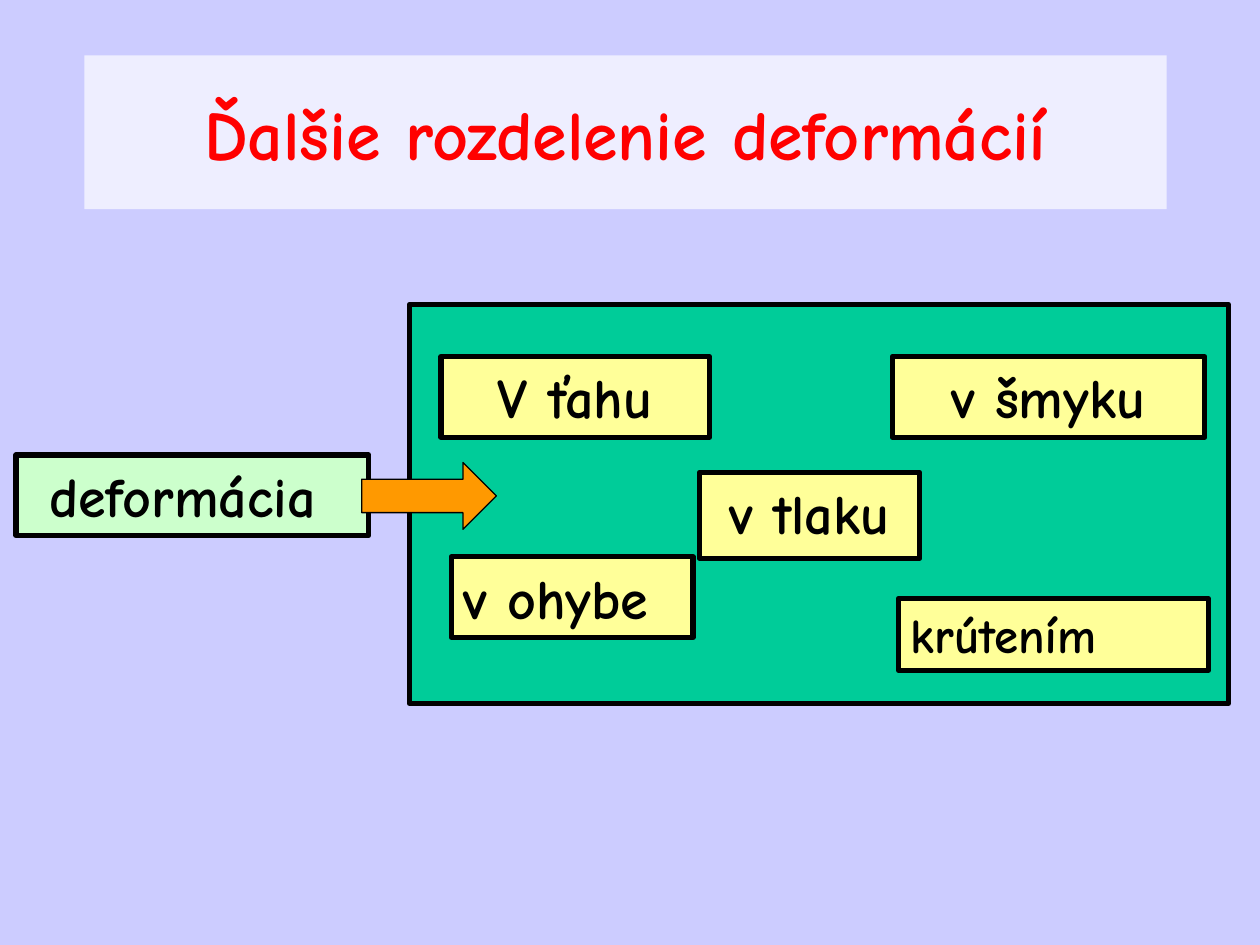
"""Builds a slide that sorts deformations into five kinds."""
from dataclasses import dataclass

from lxml import etree
from pptx import Presentation
from pptx import util as u
from pptx.dml import color
from pptx.enum import shapes, text
from pptx.oxml import ns


@dataclass(frozen=True)
class Theme:
    """Colours, font and type sizes of the slide."""
    backdrop: str = "CCCCFF"
    panel: str = "00CC99"
    banner: str = "FFFFFF"
    source: str = "CCFFCC"
    kind: str = "FFFF99"
    arrow: str = "FF9900"
    title: str = "FF0000"
    ink: str = "000000"
    font: str = "Comic Neue"
    title_size: int = 40
    label_size: int = 32
    small_size: int = 28
    frame: float = 3
    thin: float = 0.75


THEME = Theme()
CENTER = text.PP_ALIGN.CENTER
LEFT = text.PP_ALIGN.LEFT
KINDS = [
    ("V ťahu", (252, 203.8, 153.4, 46), THEME.label_size, CENTER),
    ("v tlaku", (399.6, 270, 126, 49), THEME.label_size, CENTER),
    ("v ohybe", (257.8, 318.2, 138.2, 46), THEME.label_size, LEFT),
    ("v šmyku", (509.8, 203.8, 178.6, 46), THEME.label_size, CENTER),
    ("krútením", (513.4, 342, 177.1, 41), THEME.small_size, LEFT),
]


def apply(target, values):
    """Set each named attribute on the target."""
    for name, value in values.items():
        setattr(target, name, value)


def rgb(value):
    """Turn a hex string into a colour."""
    return color.RGBColor.from_string(value)


def add_block(page, bounds, fill, line=THEME.frame, preset=shapes.MSO_SHAPE.RECTANGLE):
    """Add a filled shape, outlined when a line width is given."""
    block = page.shapes.add_shape(preset, *map(u.Pt, bounds))
    block.shadow.inherit = False
    block.fill.solid()
    block.fill.fore_color.rgb = rgb(fill)
    if line:
        block.line.color.rgb = rgb(THEME.ink)
        block.line.width = u.Pt(line)
    else:
        block.line.fill.background()
    return block


def write(block, words, size, ink=THEME.ink, align=CENTER, **frame_values):
    """Write one bold line into a block."""
    frame = block.text_frame
    apply(frame, {"word_wrap": True, **frame_values})
    para = frame.paragraphs[0]
    para.alignment = align
    span = para.add_run()
    span.text = words
    apply(span.font, {"name": THEME.font, "size": u.Pt(size), "bold": True})
    span.font.color.rgb = rgb(ink)


def add_label(page, words, bounds, fill, size, align=CENTER, wrap=True):
    """Add a framed label that grows with its text."""
    write(add_block(page, bounds, fill), words, size, align=align, word_wrap=wrap,
          vertical_anchor=text.MSO_ANCHOR.TOP,
          auto_size=text.MSO_AUTO_SIZE.SHAPE_TO_FIT_TEXT)


def add_banner(page, words):
    """Add the translucent title banner."""
    banner = add_block(page, (48.2, 31.7, 618.5, 87.8), THEME.banner, line=0)
    tint = next(banner.element.spPr.iter(ns.qn("a:srgbClr")))
    etree.SubElement(tint, ns.qn("a:alpha"), val="68000")
    write(banner, words, THEME.title_size, THEME.title,
          vertical_anchor=text.MSO_ANCHOR.MIDDLE)


def main():
    """Build and save the deck."""
    deck = Presentation()
    apply(deck, {"slide_width": u.Pt(720), "slide_height": u.Pt(540)})
    page = deck.slides.add_slide(deck.slide_layouts[6])
    page.background.fill.solid()
    page.background.fill.fore_color.rgb = rgb(THEME.backdrop)
    add_block(page, (234, 174, 468, 228), THEME.panel)
    add_banner(page, "Ďalšie rozdelenie deformácií")
    add_label(page, "deformácia ", (9.2, 260, 201.6, 46), THEME.source,
              THEME.label_size, wrap=False)
    for words, bounds, size, align in KINDS:
        add_label(page, words, bounds, THEME.kind, size, align)
    add_block(page, (206.7, 264.3, 77, 38.2), THEME.arrow, THEME.thin,
              shapes.MSO_SHAPE.RIGHT_ARROW)
    deck.save("out.pptx")


if __name__ == "__main__":
    main()
